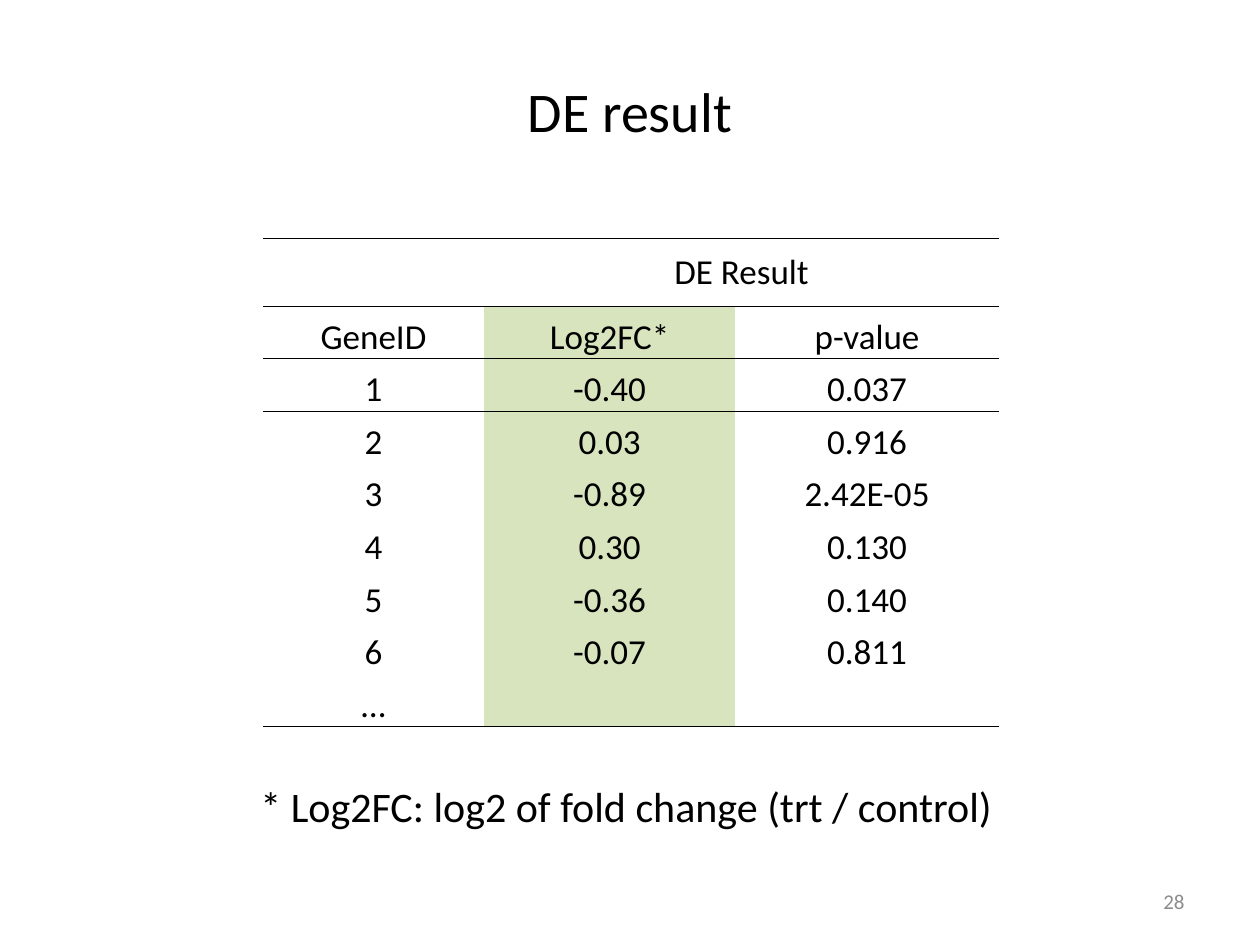
from dataclasses import dataclass

from lxml.etree import SubElement
from pptx import Presentation
from pptx.dml.color import RGBColor as Rgb
from pptx.enum.text import MSO_ANCHOR as Anchor, MSO_AUTO_SIZE as AutoSize, PP_ALIGN as Align
from pptx.oxml.ns import qn
from pptx.util import Cm, Pt


@dataclass(frozen=True)
class Theme:
    """Colours, typeface and type sizes of the slide."""
    font: str = "Calibri"
    ink: str = "000000"
    muted: str = "8C8C8C"
    highlight: str = "D7E4BD"
    title: int = 32
    note: int = 24
    body: int = 20
    number: int = 12
    rule: float = 0.5


THEME = Theme()
PLAIN_TABLE = "{2D5ABB26-0587-4C30-8999-92F81FD0307C}"
COLUMN_WIDTHS = (4.46, 5.06, 5.32)
HEADER_HEIGHT, ROW_HEIGHT = 1.37, 1.06
HIGHLIGHT_COLUMN = 1
RESULTS = (
    ("", "DE Result", ""),
    ("GeneID", "Log2FC*", "p-value"),
    ("1", "-0.40", "0.037"),
    ("2", "0.03", "0.916"),
    ("3", "-0.89", "2.42E-05"),
    ("4", "0.30", "0.130"),
    ("5", "-0.36", "0.140"),
    ("6", "-0.07", "0.811"),
    ("…", "", ""),
)


def write(frame, text, size, color, align):
    """Set one paragraph of text in a text frame."""
    line = frame.paragraphs[0]
    line.text = text
    line.alignment = align
    line.font.name = THEME.font
    line.font.size = Pt(size)
    line.font.color.rgb = Rgb.from_string(color)


def add_text(slide, box, text, size, color=THEME.ink, align=Align.LEFT,
             anchor=Anchor.MIDDLE, wrap=True):
    """Place a line of text in a box given in centimetres."""
    frame = slide.shapes.add_textbox(*map(Cm, box)).text_frame
    frame.word_wrap = wrap
    frame.auto_size = AutoSize.NONE if wrap else AutoSize.SHAPE_TO_FIT_TEXT
    frame.vertical_anchor = anchor
    write(frame, text, size, color, align)


def add_rule(cell, side):
    """Draw a thin line on one side of a cell."""
    line = SubElement(cell._tc.get_or_add_tcPr(), qn(f"a:{side}"), w=str(Pt(THEME.rule)))
    fill = SubElement(line, qn("a:solidFill"))
    SubElement(fill, qn("a:srgbClr"), val=THEME.ink)


def style_cell(cell, row, column):
    """Give a cell its margins, rules and fill."""
    cell.margin_left = cell.margin_right = cell.margin_top = Cm(0.03)
    cell.margin_bottom = 0
    cell.vertical_anchor = Anchor.MIDDLE if row == 0 else Anchor.BOTTOM
    if row <= 2:
        add_rule(cell, "lnT")
    if row <= 1 or row == len(RESULTS) - 1:
        add_rule(cell, "lnB")
    if row > 0 and column == HIGHLIGHT_COLUMN:
        cell.fill.solid()
        cell.fill.fore_color.rgb = Rgb.from_string(THEME.highlight)
    else:
        cell.fill.background()


def add_results(slide, left, top):
    """Build the table of differential expression results."""
    height = HEADER_HEIGHT + ROW_HEIGHT * (len(RESULTS) - 1)
    table = slide.shapes.add_table(
        len(RESULTS), len(COLUMN_WIDTHS),
        Cm(left), Cm(top), Cm(sum(COLUMN_WIDTHS)), Cm(height)).table
    table.first_row = table.horz_banding = False
    table._tbl.tblPr.find(qn("a:tableStyleId")).text = PLAIN_TABLE
    for column, width in zip(table.columns, COLUMN_WIDTHS):
        column.width = Cm(width)
    for r, values in enumerate(RESULTS):
        table.rows[r].height = Cm(ROW_HEIGHT if r else HEADER_HEIGHT)
        for c, value in enumerate(values):
            cell = table.cell(r, c)
            style_cell(cell, r, c)
            write(cell.text_frame, value, THEME.body, THEME.ink, Align.CENTER)
    table.cell(0, 1).merge(table.cell(0, 2))


def main():
    """Build and save the slide."""
    deck = Presentation()
    deck.slide_width, deck.slide_height = Cm(25.4), Cm(19.05)
    slide = deck.slides.add_slide(deck.slide_layouts[6])
    add_results(slide, 5.3, 4.8)
    add_text(slide, (5, 15.6, 15.47, 1.27), "* Log2FC: log2 of fold change (trt / control)",
             THEME.note, anchor=Anchor.TOP, wrap=False)
    add_text(slide, (1.27, 1.17, 22.86, 2.08), "DE result", THEME.title, align=Align.CENTER)
    add_text(slide, (18.21, 17.65, 5.92, 1.02), "28", THEME.number, THEME.muted, Align.RIGHT)
    deck.save("out.pptx")


if __name__ == "__main__":
    main()
